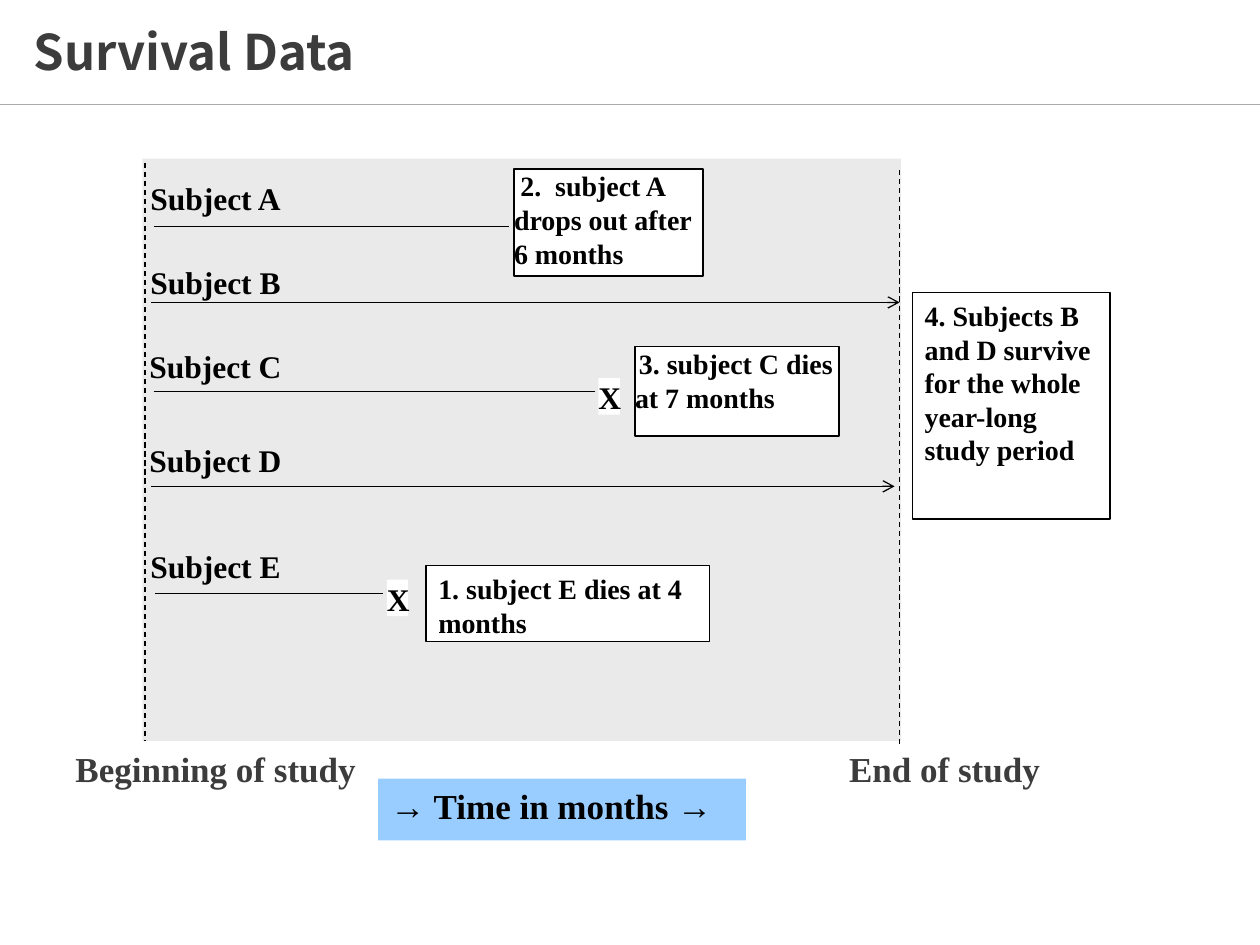
from lxml.etree import SubElement
from pptx import Presentation
from pptx.dml.color import RGBColor
from pptx.enum.dml import MSO_LINE
from pptx.enum.shapes import MSO_CONNECTOR, MSO_SHAPE
from pptx.enum.text import MSO_ANCHOR, PP_ALIGN
from pptx.oxml.ns import qn
from pptx.util import Inches, Pt

BLACK = RGBColor(0x00, 0x00, 0x00)
DARK = RGBColor(0x3C, 0x3C, 0x3C)
GRAY = RGBColor(0xAA, 0xAA, 0xAA)
PANEL = RGBColor(0xEA, 0xEA, 0xEA)
BLUE = RGBColor(0x99, 0xCC, 0xFF)
WHITE = RGBColor(0xFF, 0xFF, 0xFF)

SERIF = "Times New Roman"
SANS = "Noto Sans CJK SC"

# The slide is a grid of 100 columns by 75 rows.
WIDTH, HEIGHT = Inches(10), Inches(7.5)
COL, ROW = WIDTH / 100, HEIGHT / 75
PADDING = (0.1, 0.05, 0.1, 0.05)
TIGHT = (0, 0, 0, 0)

# name, label row, line start column, line end column, line row, ending
SUBJECTS = [
    ("Subject A", 13.4, 12.2, 40.4, 18, None),
    ("Subject B", 20.1, 12, 71.4, 24, "arrow"),
    ("Subject C", 26.7, 12.2, 47.2, 31.1, "X"),
    ("Subject D", 34.2, 12, 71, 38.6, "arrow"),
    ("Subject E", 42.6, 12.3, 30.4, 47.1, "X"),
]

# text, box in columns and rows, padding, first-line indent in inches
NOTES = [
    ("1. subject E dies at 4 months", (33.8, 44.9, 22.5, 6), PADDING, 0),
    ("2.  subject A drops out after 6 months", (40.8, 13.4, 15, 8.5), TIGHT, 0.05),
    ("3. subject C dies at 7 months", (50.4, 27.5, 16.2, 7.1), TIGHT, 0.03),
    ("4. Subjects B and D survive for the whole year-long study period",
     (72.4, 23.2, 15.7, 18), PADDING, 0),
]


def cells(col, row, cols, rows):
    """Turn grid units into slide lengths."""
    return int(col * COL), int(row * ROW), int(cols * COL), int(rows * ROW)


def write(sp, text, size, color=BLACK, font=SERIF, padding=PADDING,
          anchor=MSO_ANCHOR.TOP, align=PP_ALIGN.LEFT):
    tf = sp.text_frame
    tf.word_wrap = True
    tf.vertical_anchor = anchor
    (tf.margin_left, tf.margin_top,
     tf.margin_right, tf.margin_bottom) = map(Inches, padding)
    p = tf.paragraphs[0]
    p.text = text
    p.alignment = align
    p.font.name, p.font.size, p.font.bold = font, Pt(size), True
    p.font.color.rgb = color
    return p


def add_label(s, text, box, size, **style):
    return write(s.shapes.add_textbox(*cells(*box)), text, size, **style)


def add_box(s, box, fill, outlined=False):
    sp = s.shapes.add_shape(MSO_SHAPE.RECTANGLE, *cells(*box))
    sp.shadow.inherit = False
    sp.fill.solid()
    sp.fill.fore_color.rgb = fill
    if outlined:
        sp.line.color.rgb = BLACK
        sp.line.width = Pt(0.75)
    else:
        sp.line.fill.background()
    return sp


def add_line(s, x1, y1, x2, y2, color=BLACK, dashed=False, arrow=False):
    line = s.shapes.add_connector(
        MSO_CONNECTOR.STRAIGHT, *cells(x1, y1, x2, y2))
    line.line.color.rgb = color
    line.line.width = Pt(0.75)
    if dashed:
        line.line.dash_style = MSO_LINE.DASH
    if arrow:
        SubElement(line.line._get_or_add_ln(), qn("a:tailEnd"), type="arrow")
    SubElement(line._element.spPr, qn("a:effectLst"))


def add_subject(s, name, label_row, start, end, row, ending):
    add_label(s, name, (4.2, label_row, 25.8, 3.5), 18,
              padding=(0.1, 0.08, 0.1, 0), align=PP_ALIGN.CENTER)
    add_line(s, start, row, end, row, arrow=ending == "arrow")
    if ending == "X":
        mark = add_box(s, (end + 0.3, row - 1.1, 1.7, 2.9), WHITE)
        write(mark, "X", 18, padding=TIGHT)


def add_note(s, text, box, padding, indent):
    p = write(add_box(s, box, WHITE, outlined=True), text, 16, padding=padding)
    if indent:
        p._p.get_or_add_pPr().set("indent", str(Inches(indent)))


def add_title(s, text):
    add_line(s, 0, 8.3, 100, 8.3, color=GRAY)
    p = add_label(s, text, (1.7, 1.6, 84.2, 5.5), 28, color=DARK, font=SANS,
                  anchor=MSO_ANCHOR.MIDDLE)
    p.line_spacing = 0.9


def add_study_period(s):
    add_box(s, (11.3, 12.6, 60.2, 46.2), PANEL)
    add_line(s, 11.5, 12.9, 11.5, 58.8, dashed=True)
    add_line(s, 71.4, 13.5, 71.4, 59.2, dashed=True)
    for text, col in (("Beginning of study", 5), ("End of study", 66.4)):
        add_label(s, text, (col, 58.8, 35.2, 7.4), 20, color=DARK)
    write(add_box(s, (30, 61.8, 29.2, 4.9), BLUE), "→ Time in months →", 20)


def main():
    prs = Presentation()
    prs.slide_width, prs.slide_height = WIDTH, HEIGHT
    s = prs.slides.add_slide(prs.slide_layouts[6])
    add_title(s, "Survival Data")
    add_study_period(s)
    for subject in SUBJECTS:
        add_subject(s, *subject)
    for note in NOTES:
        add_note(s, *note)
    prs.save("out.pptx")


if __name__ == "__main__":
    main()
